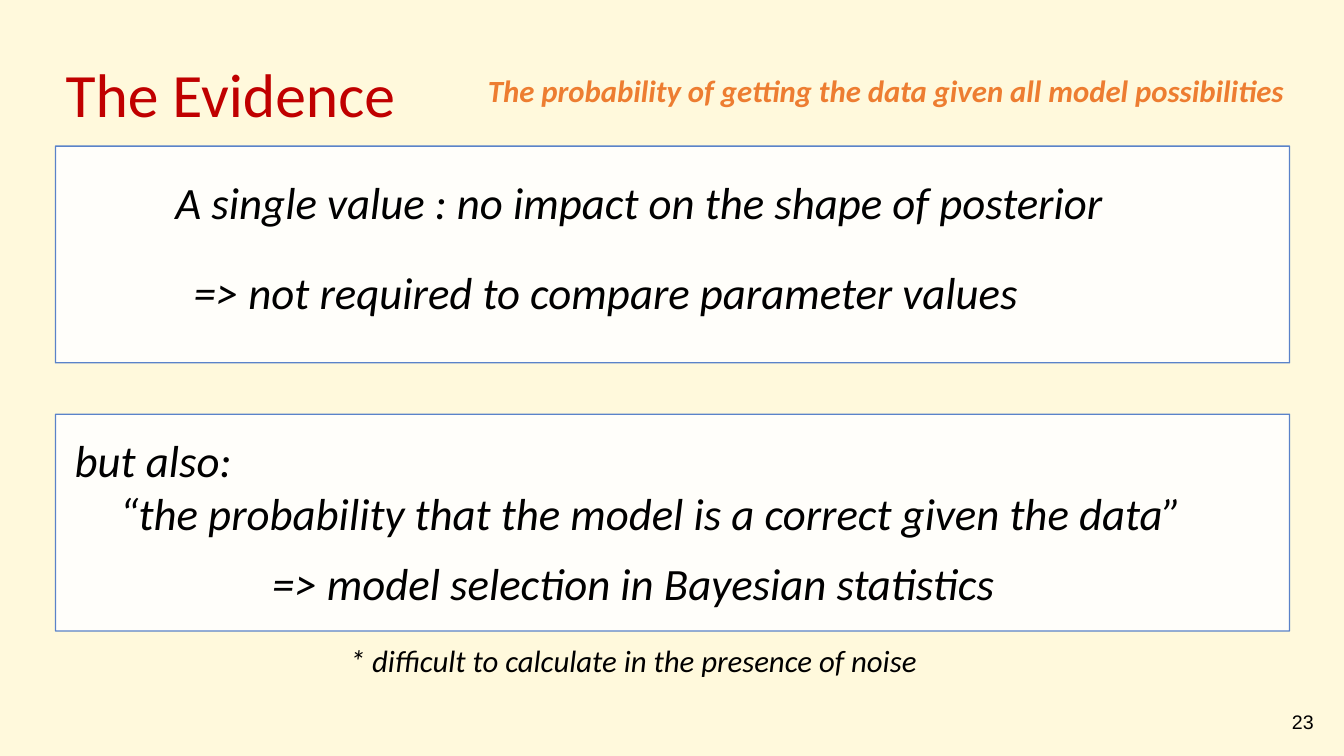
from dataclasses import dataclass

from lxml.etree import SubElement
from pptx import Presentation
from pptx.dml.color import RGBColor
from pptx.enum.shapes import MSO_SHAPE
from pptx.enum.text import MSO_ANCHOR, MSO_AUTO_SIZE, PP_ALIGN
from pptx.oxml.ns import qn
from pptx.util import Inches, Pt

SLIDE_WIDTH = Inches(13.33)
SLIDE_HEIGHT = Inches(7.5)


@dataclass(frozen=True)
class Theme:
    background: str = "FFF9DC"
    panel: str = "FFFFFF"
    panel_line: str = "4472C4"
    title: str = "C00000"
    accent: str = "ED7D31"
    text: str = "000000"
    font: str = "Calibri"
    number_font: str = "Arial"
    title_size: int = 44
    body_size: int = 32
    note_size: int = 22
    number_size: int = 14
    panel_opacity: int = 87
    line_spacing: float = 0.9


THEME = Theme()


def place(left, top, width, height):
    """Turn percentages of the slide's size into lengths."""
    return (
        int(SLIDE_WIDTH * left / 100),
        int(SLIDE_HEIGHT * top / 100),
        int(SLIDE_WIDTH * width / 100),
        int(SLIDE_HEIGHT * height / 100),
    )


def set_opacity(properties, percent):
    """Add an alpha value to every solid colour below an XML element."""
    for color in properties.iter(qn("a:srgbClr")):
        SubElement(color, qn("a:alpha")).set("val", str(percent * 1000))


def add_panel(slide, top):
    area = place(4.13, top, 91.82, 28.67)
    shape = slide.shapes.add_shape(MSO_SHAPE.RECTANGLE, *area)
    shape.shadow.inherit = False
    shape.fill.solid()
    shape.fill.fore_color.rgb = RGBColor.from_string(THEME.panel)
    shape.line.color.rgb = RGBColor.from_string(THEME.panel_line)
    shape.line.width = Pt(1)
    set_opacity(shape.element.spPr, THEME.panel_opacity)


def add_text(slide, text, area, size=THEME.body_size, color=THEME.text,
             font=THEME.font, bold=False, italic=True,
             anchor=MSO_ANCHOR.TOP, align=PP_ALIGN.LEFT,
             line_spacing=THEME.line_spacing):
    """Add one line of text; area is given in percent of the slide."""
    frame = slide.shapes.add_textbox(*place(*area)).text_frame
    frame.margin_left = frame.margin_right = Inches(0.05)
    frame.margin_top = frame.margin_bottom = Inches(0.05)
    frame.word_wrap = True
    frame.auto_size = MSO_AUTO_SIZE.NONE
    frame.vertical_anchor = anchor
    paragraph = frame.paragraphs[0]
    paragraph.alignment = align
    paragraph.line_spacing = line_spacing
    run = paragraph.add_run()
    run.text = text
    run.font.name = font
    run.font.size = Pt(size)
    run.font.bold = bold
    run.font.italic = italic
    run.font.color.rgb = RGBColor.from_string(color)


def add_heading(slide):
    add_text(slide, "The Evidence", (4.5, 3.2, 86.27, 19.33),
             size=THEME.title_size, color=THEME.title, italic=False,
             anchor=MSO_ANCHOR.MIDDLE)
    add_text(slide, "The probability of getting the data given all model possibilities",
             (35.93, 9.33, 60.47, 7.07), size=THEME.note_size,
             color=THEME.accent, bold=True)


def add_statements(slide):
    add_text(slide, "A single value : no impact on the shape of posterior",
             (12.68, 23.2, 78.17, 9.47))
    add_text(slide, "=> not required to compare parameter values",
             (14.03, 35.2, 78.17, 9.47))
    add_text(slide, "but also:", (5.18, 57.4, 14, 7.2))
    add_text(slide, "“the probability that the model is a correct given the data”",
             (8.55, 64.4, 86.27, 9.47))
    add_text(slide, "=> model selection in Bayesian statistics",
             (19.88, 73.6, 55.51, 9.47))


def add_footer(slide):
    add_text(slide, "* difficult to calculate in the presence of noise",
             (25.66, 84.8, 43.89, 9.47), size=THEME.note_size)
    add_text(slide, "23", (94.13, 93.33, 4, 4.13), size=THEME.number_size,
             font=THEME.number_font, italic=False,
             anchor=MSO_ANCHOR.MIDDLE, align=PP_ALIGN.RIGHT, line_spacing=1.0)


def main():
    presentation = Presentation()
    presentation.slide_width = SLIDE_WIDTH
    presentation.slide_height = SLIDE_HEIGHT
    slide = presentation.slides.add_slide(presentation.slide_layouts[6])
    slide.background.fill.solid()
    slide.background.fill.fore_color.rgb = RGBColor.from_string(THEME.background)
    for top in (19.33, 54.8):
        add_panel(slide, top)
    add_heading(slide)
    add_statements(slide)
    add_footer(slide)
    presentation.save("out.pptx")


if __name__ == "__main__":
    main()
